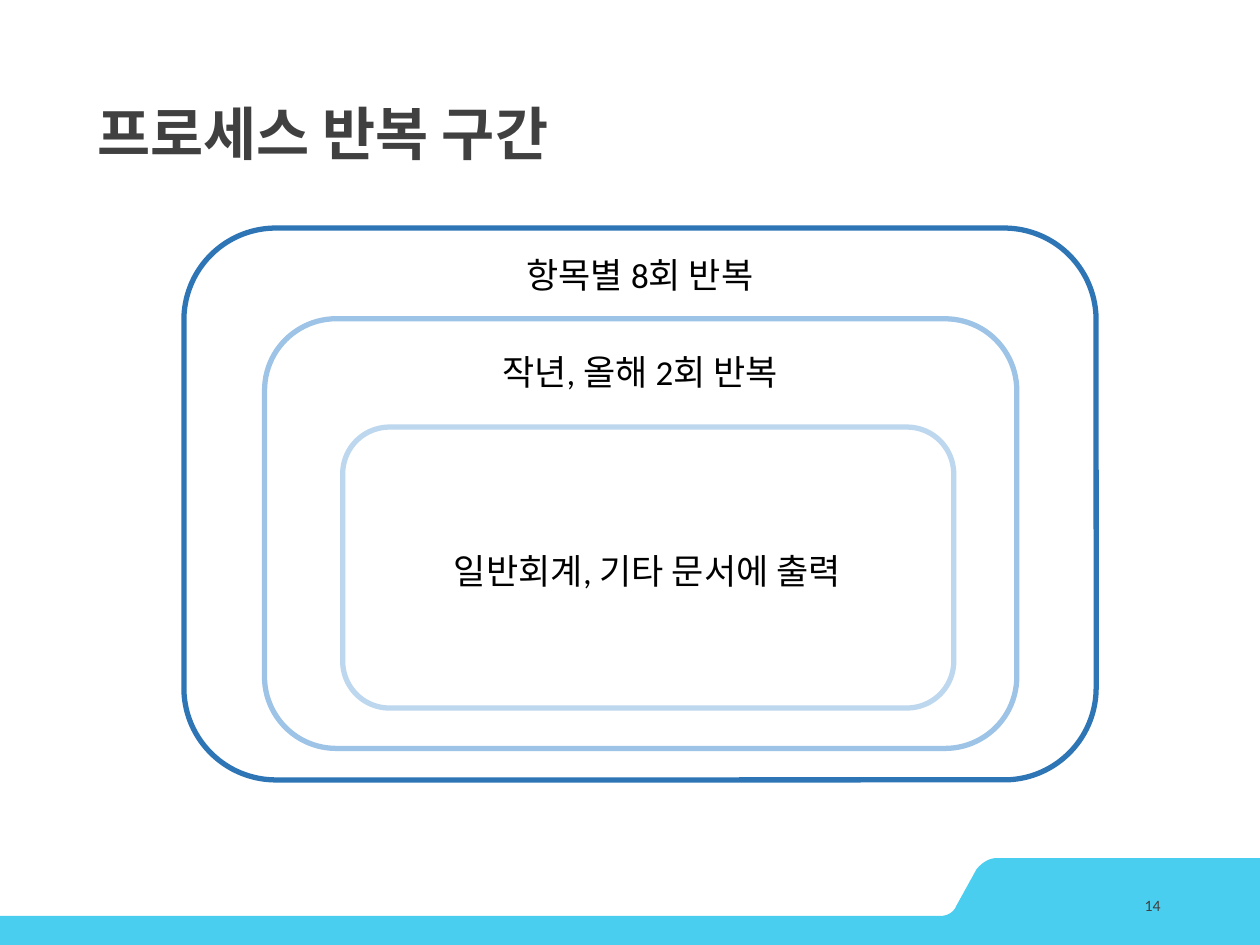
from collections import namedtuple

from pptx import Presentation
from pptx.dml.color import RGBColor
from pptx.enum.shapes import MSO_SHAPE
from pptx.enum.text import MSO_ANCHOR, PP_ALIGN
from pptx.util import Inches, Pt

COLORS = {
    "band": "49CEEF",
    "heading": "404040",
    "label": "000000",
    "outer": "2E75B6",
    "middle": "9DC3E6",
    "inner": "BDD7EE",
}
FONT = "Calibri"
CURVE_STEPS = 12

Box = namedtuple("Box", "left top width height")


def color(name):
    return RGBColor.from_string(COLORS[name])


def within(box, left, top, width, height):
    """Return a part of a box; the arguments are percentages of that box."""
    return Box(
        int(box.left + box.width * left / 100),
        int(box.top + box.height * top / 100),
        int(box.width * width / 100),
        int(box.height * height / 100),
    )


def write(frame, text, size, color_name, align, bold=False):
    frame.word_wrap = True
    para = frame.paragraphs[0]
    para.text = text
    para.alignment = align
    para.font.name = FONT
    para.font.size = Pt(size)
    para.font.bold = bold
    para.font.color.rgb = color(color_name)
    return para


def curve(start, first, second, end):
    """Points along a cubic curve, without its start."""
    points = []
    for step in range(1, CURVE_STEPS + 1):
        t = step / CURVE_STEPS
        weights = ((1 - t) ** 3, 3 * t * (1 - t) ** 2, 3 * t**2 * (1 - t), t**3)
        corners = (start, first, second, end)
        points.append(tuple(
            sum(weight * corner[axis] for weight, corner in zip(weights, corners))
            for axis in (0, 1)
        ))
    return points


def add_footer_band(page, box):
    """Coloured strip with a raised tab at the right."""
    tab_top, strip_top = 0, 66.67
    outline = [
        (79.1, tab_top),
        *curve((79.1, tab_top), (78.5, tab_top), (77.9, 5.8), (77.5, 13.04)),
        (75.9, 55.07),
        *curve((75.9, 55.07), (75.7, 62.32), (75.2, strip_top), (74.6, strip_top)),
        (0, strip_top), (0, 100), (100, 100), (100, tab_top),
    ]
    points = [within(box, x, y, 0, 0)[:2] for x, y in outline]
    builder = page.shapes.build_freeform(*points[0])
    builder.add_line_segments(points[1:], close=True)
    band = builder.convert_to_shape()
    band.shadow.inherit = False
    band.fill.solid()
    band.fill.fore_color.rgb = color("band")
    band.line.fill.background()


def add_title(page, box, text):
    title = page.shapes.title
    title.left, title.top, title.width, title.height = box
    title.text_frame.vertical_anchor = MSO_ANCHOR.MIDDLE
    para = write(title.text_frame, text, 33, "heading", PP_ALIGN.LEFT, bold=True)
    para.line_spacing = 0.9


def add_page_number(page, box, number):
    frame = page.shapes.add_textbox(*box).text_frame
    frame.vertical_anchor = MSO_ANCHOR.MIDDLE
    write(frame, number, 9, "heading", PP_ALIGN.RIGHT)


def add_nested_loops(page, box):
    """Three nested rounded frames, each with its label."""
    loops = [
        # colour, frame share, label left and top, label
        ("outer", (0, 0, 100, 100), (0, 3.42), "항목별 8회 반복"),
        ("middle", (8.84, 16.44, 82.46, 77.85), (0, 21), "작년, 올해 2회 반복"),
        ("inner", (17.4, 36.07, 66.99, 50.91), (0.83, 57.08), "일반회계, 기타 문서에 출력"),
    ]
    for color_name, frame_share, label_corner, text in loops:
        ring = page.shapes.add_shape(
            MSO_SHAPE.ROUNDED_RECTANGLE, *within(box, *frame_share))
        ring.shadow.inherit = False
        ring.fill.background()
        ring.line.color.rgb = color(color_name)
        ring.line.width = Pt(3)

        label = page.shapes.add_textbox(*within(box, *label_corner, 100, 10.05))
        write(label.text_frame, text, 20, "label", PP_ALIGN.CENTER)


def main():
    deck = Presentation()
    deck.slide_width, deck.slide_height = Inches(10), Inches(7.5)
    page = deck.slides.add_slide(deck.slide_layouts[5])
    whole = Box(0, 0, deck.slide_width, deck.slide_height)

    add_footer_band(page, within(whole, 0, 90.8, 100, 9.2))
    add_title(page, within(whole, 6.7, 4.8, 86.2, 19.33), "프로세스 반복 구간")
    add_page_number(page, within(whole, 70.6, 93.07, 22.5, 5.33), "14")
    add_nested_loops(page, within(whole, 14.6, 24.13, 72.4, 58.4))

    deck.save("out.pptx")


if __name__ == "__main__":
    main()
